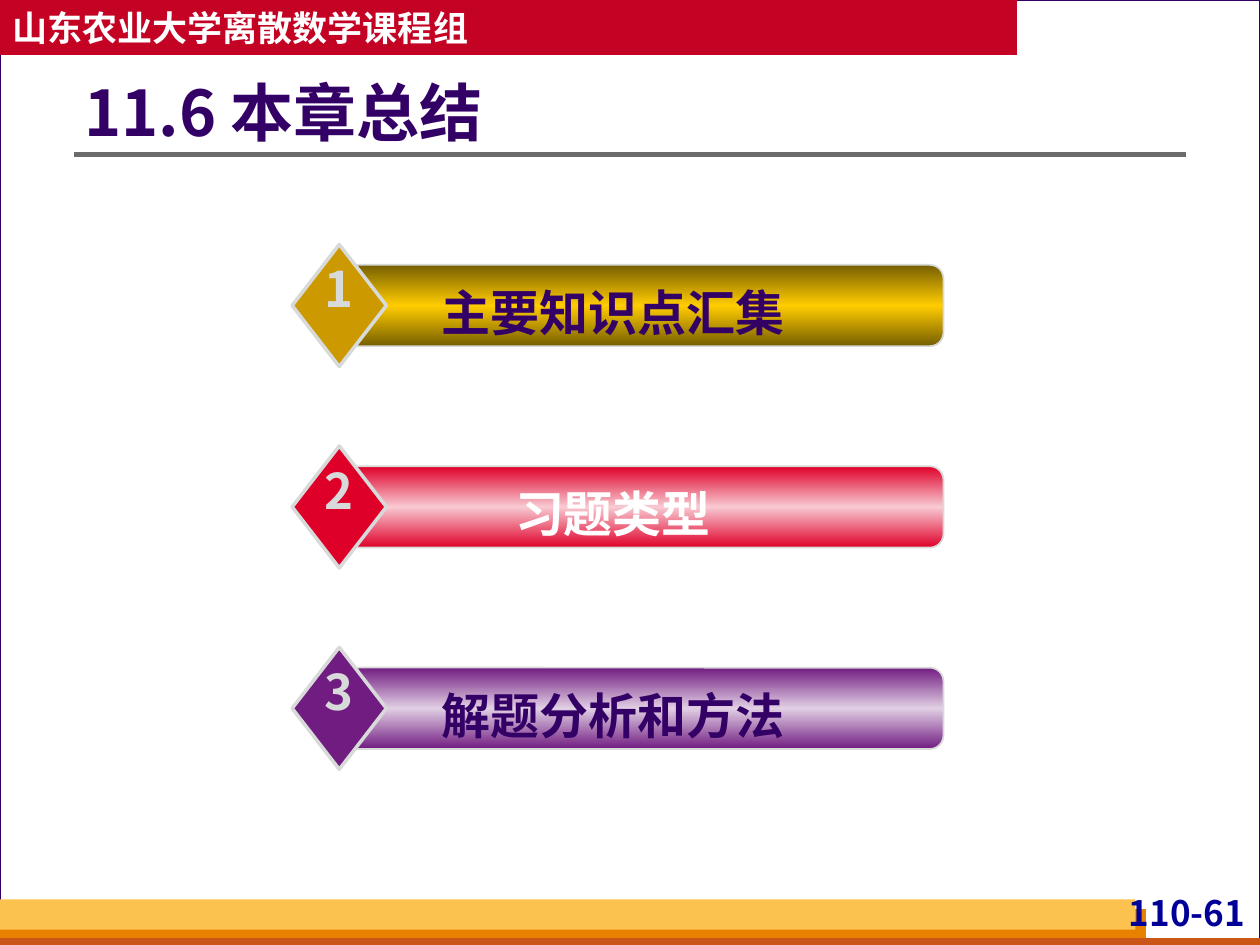
from copy import deepcopy

from lxml.etree import SubElement
from pptx import Presentation
from pptx.dml.color import RGBColor
from pptx.enum.shapes import MSO_CONNECTOR, MSO_SHAPE
from pptx.enum.text import MSO_ANCHOR, PP_ALIGN
from pptx.oxml.ns import qn
from pptx.util import Cm, Pt

FONT = "Noto Sans CJK SC"
COLORS = {
    "grey": "D8DADA", "white": "FFFFFF", "indigo": "330066", "navy": "000099",
    "rule": "6B6B6B", "header": "C30224",
    "orange": "E88000", "rust": "C95616", "amber": "FCC24F",
    "gold": "CC9900", "gold_dark": "765E00", "gold_bright": "FFCC00",
    "red": "DF0029", "red_pale": "F8C9D2",
    "purple": "711C81", "purple_pale": "E1CFE4",
}
# label, text colour, diamond colour, bar edge colour, bar middle colour
TOPICS = [
    ("主要知识点汇集", "indigo", "gold", "gold_dark", "gold_bright"),
    ("习题类型", "white", "red", "red", "red_pale"),
    ("解题分析和方法", "indigo", "purple", "purple", "purple_pale"),
]


def rgb(name):
    return RGBColor.from_string(COLORS[name])


def write(shape, text, size, color, align=PP_ALIGN.LEFT, anchor=MSO_ANCHOR.MIDDLE,
          insets=(0, 0, 0, 0), line_spacing=None, wrap=True):
    """Put one bold paragraph in a shape; insets are left, top, right, bottom in cm."""
    frame = shape.text_frame
    frame.word_wrap = wrap
    frame.vertical_anchor = anchor
    (frame.margin_left, frame.margin_top,
     frame.margin_right, frame.margin_bottom) = map(Cm, insets)
    paragraph = frame.paragraphs[0]
    paragraph.alignment = align
    paragraph.line_spacing = line_spacing
    run = paragraph.add_run()
    run.text = text
    run.font.size = Pt(size)
    run.font.bold = True
    run.font.color.rgb = rgb(color)
    run.font.name = FONT
    SubElement(run.font._element, qn("a:ea"), typeface=FONT)


def add_block(shapes, kind, box, fill=None, line=None, line_width=1):
    """Add a preset shape; box is left, top, width, height in cm."""
    shape = shapes.add_shape(kind, *map(Cm, box))
    shape.shadow.inherit = False
    if fill:
        shape.fill.solid()
        shape.fill.fore_color.rgb = rgb(fill)
    if line:
        shape.line.color.rgb = rgb(line)
        shape.line.width = Pt(line_width)
    else:
        shape.line.fill.background()
    return shape


def fill_with_band(shape, edge, middle):
    """Vertical gradient running edge, middle, edge."""
    shape.fill.gradient()
    shape.fill.gradient_angle = 90
    stop_list = shape._element.spPr.find(qn("a:gradFill")).find(qn("a:gsLst"))
    stop_list.append(deepcopy(stop_list[0]))
    for stop, color, position in zip(shape.fill.gradient_stops,
                                     (edge, middle, edge), (0, 0.5, 1)):
        stop.color.rgb = rgb(color)
        stop.position = position


def add_text(shapes, box, text, size, color, **text_format):
    write(shapes.add_textbox(*map(Cm, box)), text, size, color, **text_format)


def add_header(slide, left, top, width, height):
    band = add_block(slide.shapes, MSO_SHAPE.RECTANGLE, (left, top, width, height), "header")
    write(band, "山东农业大学离散数学课程组", 20, "white",
          insets=(0.25, 0.13, 0.25, 0.13), wrap=False)


def add_footer(slide, left, top, width, height):
    for offset, band_width, band_height, color in (
            (0.2, 23.1, 0.71, "orange"),
            (0.78, width, 0.2, "rust"),
            (0, 22.89, 0.61, "amber")):
        add_block(slide.shapes, MSO_SHAPE.RECTANGLE,
                  (left, top + offset, band_width, band_height), color)
    add_text(slide.shapes, (left + width - 3.3, top - 0.15, 3.1, height), "110-61", 20, "navy",
             align=PP_ALIGN.RIGHT, anchor=MSO_ANCHOR.TOP, insets=(0.1, 0, 0.1, 0))


def add_title(slide, left, top, width, height):
    title = slide.shapes.title
    title.left, title.top, title.width, title.height = map(Cm, (left, top, width, height))
    write(title, "11.6 本章总结", 36, "indigo", insets=(0, 0.13, 0.25, 0.13), line_spacing=0.9)
    rule_top = Cm(top + 1.77)
    rule = slide.shapes.add_connector(MSO_CONNECTOR.STRAIGHT, Cm(left - 0.2), rule_top,
                                      Cm(left + width + 0.15), rule_top)
    rule.line.color.rgb = rgb("rule")
    rule.line.width = Pt(3)
    SubElement(rule._element.spPr, qn("a:effectLst"))


def add_topic(slide, number, topic, left, top, width, height):
    label, text_color, diamond_color, edge, middle = topic
    shapes = slide.shapes.add_group_shape().shapes
    bar = add_block(shapes, MSO_SHAPE.ROUNDED_RECTANGLE,
                    (left + 1.07, top + height / 6, width - 1.07, height * 2 / 3), line="grey")
    bar.adjustments[0] = 0.167
    fill_with_band(bar, edge, middle)
    add_block(shapes, MSO_SHAPE.DIAMOND, (left, top, 1.9, height), diamond_color, "grey", 2)
    add_text(shapes, (left + 1.7, top + 0.76, 9.53, 1.2), label, 28, text_color,
             align=PP_ALIGN.CENTER)
    add_text(shapes, (left + 0.43, top + 0.28, 1.02, 1.2), str(number), 28, "grey",
             align=PP_ALIGN.CENTER)


def main():
    presentation = Presentation()
    presentation.slide_width, presentation.slide_height = Cm(25.4), Cm(19.05)
    slide = presentation.slides.add_slide(presentation.slide_layouts[5])
    slide.background.fill.solid()
    slide.background.fill.fore_color.rgb = rgb("grey")

    add_block(slide.shapes, MSO_SHAPE.RECTANGLE, (0, 0, 25.4, 19.05), "white", "indigo", 0.75)
    add_footer(slide, 0, 18.13, 25.4, 0.96)
    add_header(slide, 0, 0, 20.5, 1.11)
    add_title(slide, 1.7, 1.35, 22.05, 1.98)
    # The title placeholder comes first, so bring it in front of the page frame.
    slide.shapes._spTree.append(slide.shapes.title._element)
    for index, topic in enumerate(TOPICS):
        add_topic(slide, index + 1, topic, 5.89, 4.93 + 4.06 * index, 13.13, 2.46)

    presentation.save("out.pptx")


if __name__ == "__main__":
    main()
